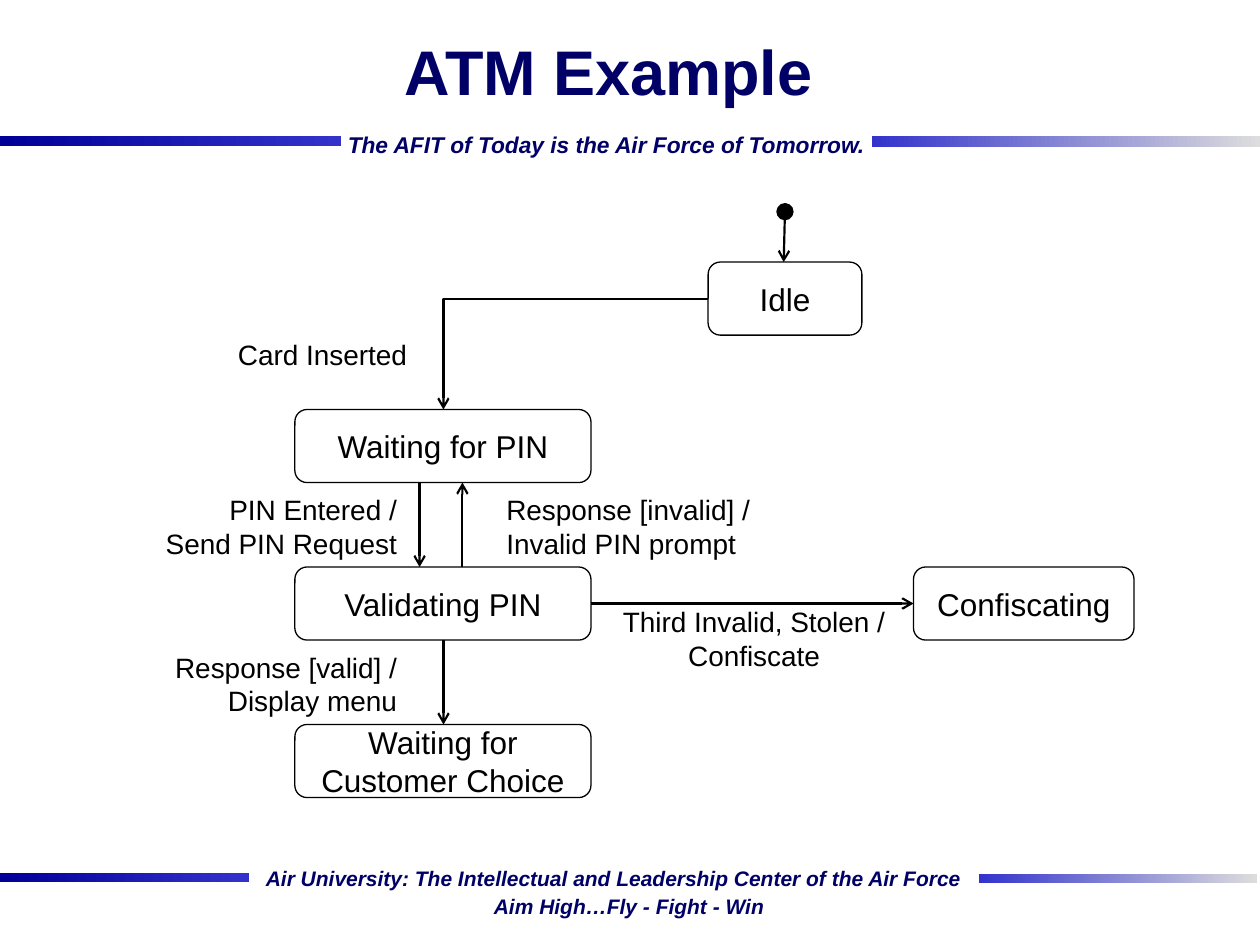
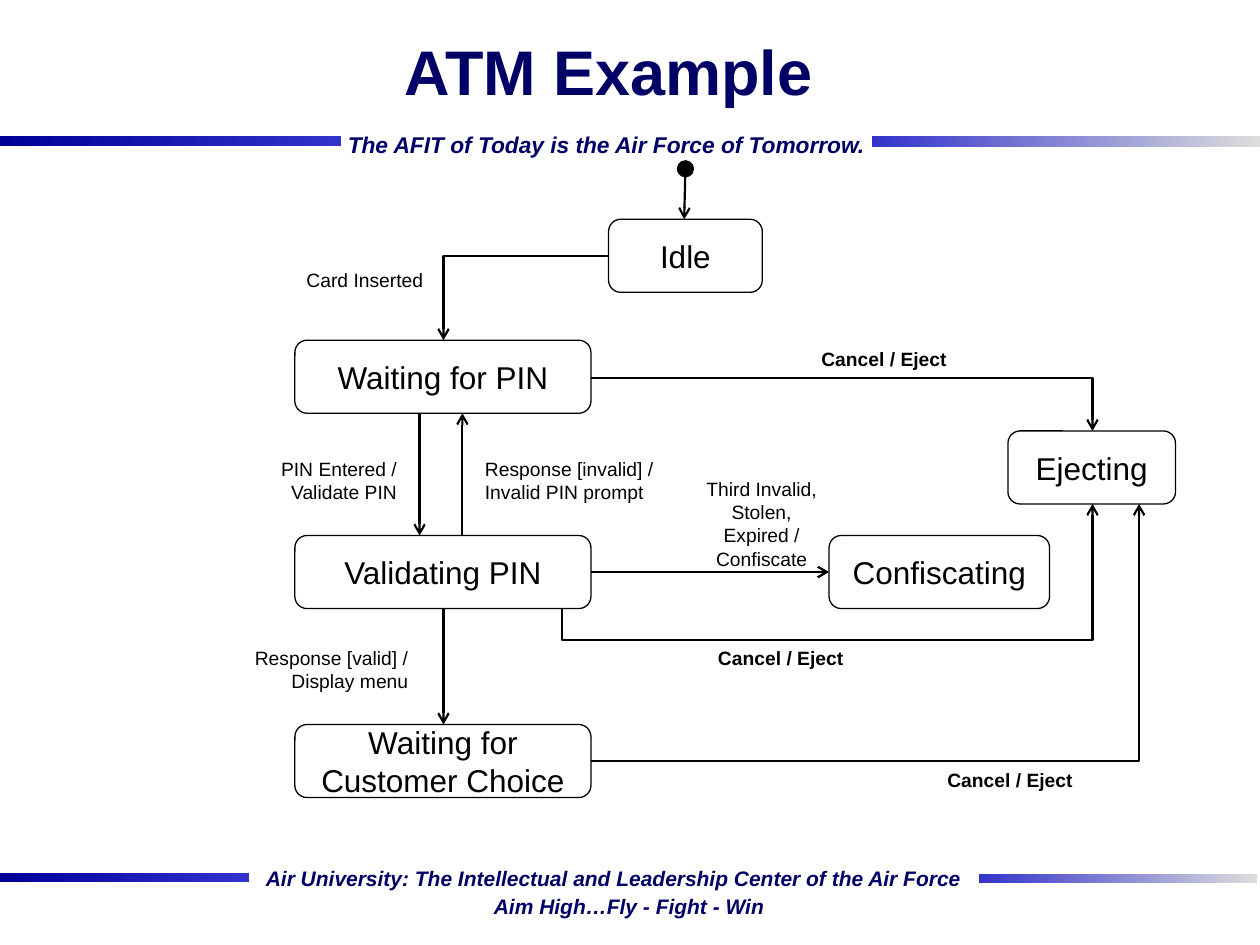
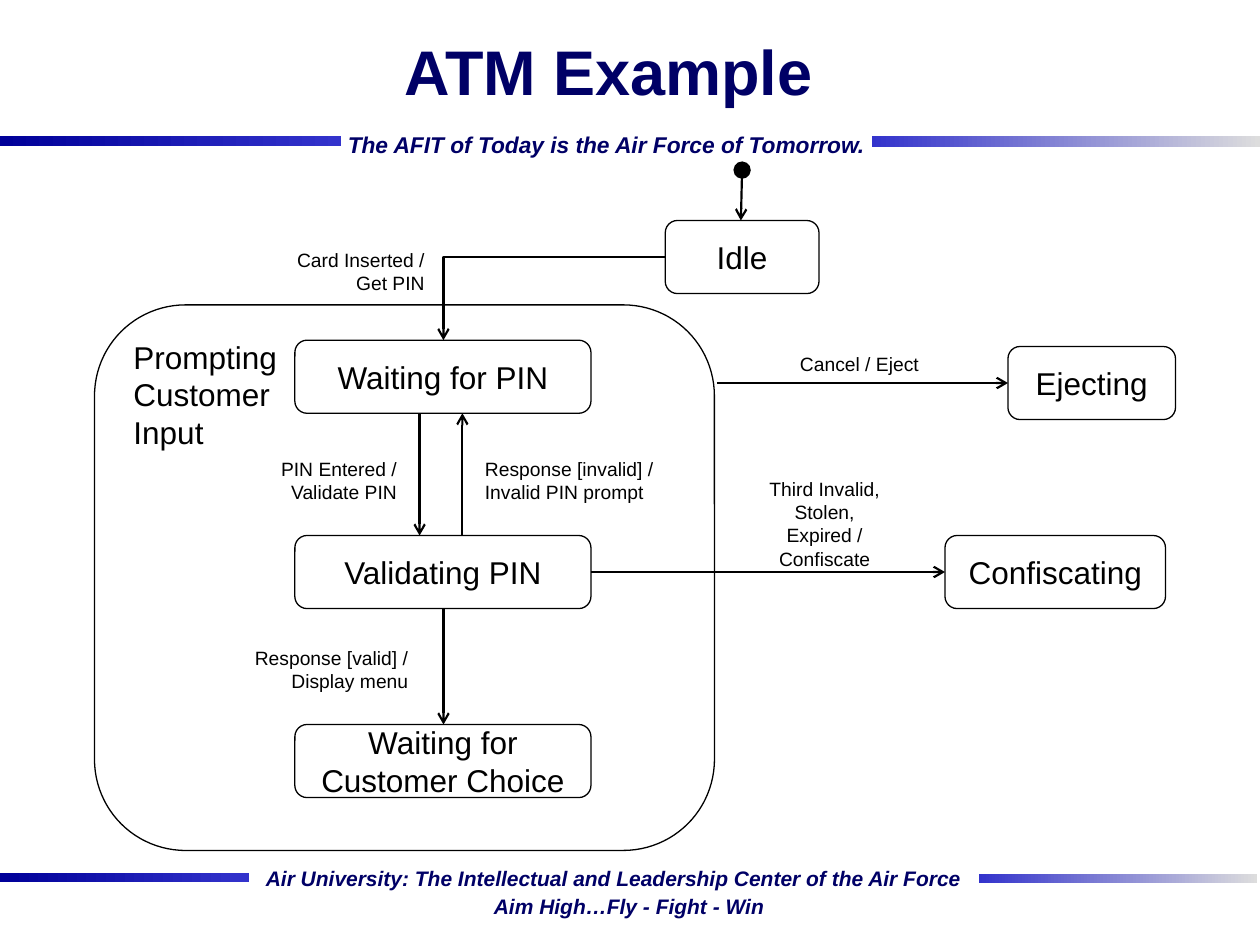
"""Build three slides of a growing ATM state diagram."""
import dataclasses
import lxml.etree
import pptx
import pptx.dml.color
import pptx.enum.shapes
import pptx.enum.text
import pptx.oxml.ns
import pptx.util

Inches = pptx.util.Inches
Pt = pptx.util.Pt
RGB = pptx.dml.color.RGBColor.from_string
qn = pptx.oxml.ns.qn
SHAPE = pptx.enum.shapes.MSO_SHAPE
LINE = pptx.enum.shapes.MSO_CONNECTOR
ANCHOR = pptx.enum.text.MSO_ANCHOR
FIT = pptx.enum.text.MSO_AUTO_SIZE
ALIGN = {"l": pptx.enum.text.PP_ALIGN.LEFT, "c": pptx.enum.text.PP_ALIGN.CENTER,
         "r": pptx.enum.text.PP_ALIGN.RIGHT}


@dataclasses.dataclass(frozen=True)
class Theme:
    font: str = "Arial"
    navy: str = "000066"
    ink: str = "000000"
    band_dark: str = "000099"
    band_mid: str = "3333CC"
    band_light: str = "DDDDDD"
    title: int = 36
    state: int = 18
    motto: int = 13
    footer: int = 12
    label: int = 11
    label_large: int = 16
    outline: float = 0.75
    arrow: float = 1.25


T = Theme()


def write(sp, text, size=T.state, color=T.ink, bold=False, italic=False,
          align="l", anchor=ANCHOR.TOP, wrap=True, fit=FIT.NONE):
    tf = sp.text_frame
    tf.word_wrap = wrap
    tf.auto_size = fit
    tf.vertical_anchor = anchor
    p = tf.paragraphs[0]
    p.text = text
    p.alignment = ALIGN[align]
    for r in p.runs:
        r.font.name = T.font
        r.font.size = Pt(size)
        r.font.bold = bold
        r.font.italic = italic
        r.font.color.rgb = RGB(color)
    for br in sp.element.iter(qn("a:br")):
        lxml.etree.SubElement(br, qn("a:rPr")).set("sz", str(size * 100))


def arrow(s, start, end, preset="line", dot=False):
    kind = LINE.STRAIGHT if preset == "line" else LINE.ELBOW
    c = s.shapes.add_connector(kind, *(Inches(v) for v in (*start, *end)))
    c.line.width = Pt(T.arrow)
    c.line.color.rgb = RGB(T.ink)
    pr = c.element.spPr
    pr.find(qn("a:prstGeom")).set("prst", preset)
    ln = pr.find(qn("a:ln"))
    if dot:
        head = lxml.etree.SubElement(ln, qn("a:headEnd"))
        for key, value in (("type", "oval"), ("w", "lg"), ("len", "lg")):
            head.set(key, value)
    lxml.etree.SubElement(ln, qn("a:tailEnd")).set("type", "arrow")
    lxml.etree.SubElement(pr, qn("a:effectLst"))
    return c


COLUMN_X, COLUMN_W, STATE_H = 2.34, 2.35, 0.58
COLUMN_MID, COLUMN_RIGHT = 3.52, COLUMN_X + COLUMN_W
WIDTHS = {"Idle": 1.22, "Confiscating": 1.75, "Ejecting": 1.33}
BANDS = [
    (0, 6.93, 1.98, 0.07, T.band_dark, T.band_mid),
    (7.77, 6.94, 2.21, 0.07, T.band_mid, T.band_light),
    (0, 1.08, 2.71, 0.08, T.band_dark, T.band_mid),
    (6.92, 1.08, 3.08, 0.09, T.band_mid, T.band_light),
]
MOTTOS = [
    ("The AFIT of Today is the Air Force of Tomorrow.", 2.67, 0.99, 4.35, 0.31, T.motto),
    ("Air University: The Intellectual and Leadership Center of the Air Force",
     2.02, 6.82, 5.76, 0.29, T.footer),
    ("Aim High…Fly - Fight - Win", 3.83, 7.04, 2.36, 0.29, T.footer),
]
PIN_LABELS = [
    ("PIN Entered /\nValidate PIN", 2.12, 3.58, 1.13, "r", False),
    ("Response [valid] /\nDisplay menu", 1.91, 5.08, 1.43, "r", False),
    ("Response [invalid] /\nInvalid PIN prompt", 3.75, 3.58, 1.55, "l", False),
]
CONFISCATE = "Third Invalid,\nStolen,\nExpired /\nConfiscate"
DIAGRAMS = [
    dict(
        size=T.label_large, rows=(3.25, 4.5, 5.75),
        side={"Idle": (5.62, 2.08), "Confiscating": (7.25, 4.5)},
        labels=[
            ("Card Inserted", 1.77, 2.63, 1.56, "r", False),
            ("PIN Entered /\nSend PIN Request", 1.19, 3.86, 2.06, "r", False),
            ("Response [valid] /\nDisplay menu", 1.27, 5.11, 1.98, "r", False),
            ("Third Invalid, Stolen /\nConfiscate", 4.83, 4.75, 2.31, "c", False),
            ("Response [invalid] /\nInvalid PIN prompt", 3.92, 3.86, 2.16, "l", False),
        ],
        arrows=[]),
    dict(
        size=T.label, rows=(2.7, 4.25, 5.75),
        side={"Idle": (4.83, 1.74), "Confiscating": (6.58, 4.25), "Ejecting": (8, 3.42)},
        labels=PIN_LABELS + [
            ("Card Inserted", 2.33, 2.08, 1.13, "r", False),
            (CONFISCATE, 5.5, 3.74, 1.09, "c", False),
            ("Cancel / Eject", 5.6, 5.08, 1.2, "l", True),
            ("Cancel / Eject", 7.42, 6.05, 1.2, "l", True),
            ("Cancel / Eject", 6.42, 2.71, 1.2, "l", True),
        ],
        arrows=[((COLUMN_RIGHT, 3), (8.67, 3.42), "bentConnector2"),
                ((COLUMN_RIGHT, 6.04), (9.04, 4), "bentConnector2")],
        detour=((4.46, 4.83), (8.67, 4))),
    dict(
        size=T.label, rows=(2.7, 4.25, 5.75),
        side={"Idle": (5.28, 1.75), "Confiscating": (7.5, 4.25), "Ejecting": (8, 2.75)},
        labels=PIN_LABELS + [
            ("Card Inserted /\nGet PIN", 2.25, 1.92, 1.22, "r", False),
            (CONFISCATE, 6, 3.74, 1.09, "c", False),
            ("Cancel / Eject", 6.25, 2.75, 1.15, "l", False),
        ],
        arrows=[((5.69, 3.04), (8, 3.04), "line")],
        group=("Prompting\nCustomer\nInput", 0.75, 2.42, 4.92, 4.33)),
]

prs = pptx.Presentation()
prs.slide_width, prs.slide_height = Inches(10), Inches(7.5)
layout = prs.slide_layouts[5]
for ph in list(layout.placeholders)[1:]:
    layout.shapes.element.remove(ph.element)

slides = [prs.slides.add_slide(layout) for d in DIAGRAMS]
shared = []
for x, y, w, h, left, right in BANDS:
    sp = slides[0].shapes.add_shape(SHAPE.RECTANGLE, Inches(x), Inches(y), Inches(w), Inches(h))
    sp.shadow.inherit = False
    sp.line.fill.background()
    sp.fill.gradient()
    sp.fill.gradient_angle = 0
    for stop, color in zip(sp.fill.gradient_stops, (left, right)):
        stop.color.rgb = RGB(color)
    shared.append(sp)
for text, x, y, w, h, size in MOTTOS:
    sp = slides[0].shapes.add_textbox(Inches(x), Inches(y), Inches(w), Inches(h))
    write(sp, text, size=size, color=T.navy, bold=True, italic=True,
          wrap=False, fit=FIT.SHAPE_TO_FIT_TEXT)
    sp.text_frame.margin_left = sp.text_frame.margin_right = Inches(0.09)
    shared.append(sp)
for sp in shared:
    layout.shapes.element.append(sp.element)

for s, d in zip(slides, DIAGRAMS):
    title = s.shapes.title
    title.left, title.top = Inches(0.58), Inches(0)
    title.width, title.height = Inches(8.5), Inches(1.12)
    write(title, "ATM Example", size=T.title, color=T.navy, bold=True,
          align="c", anchor=ANCHOR.MIDDLE)

    waiting, validating, choice = d["rows"]
    boxes = [(name, x, y, WIDTHS[name], STATE_H, "c", ANCHOR.MIDDLE)
             for name, (x, y) in d["side"].items()]
    boxes += [(name, COLUMN_X, y, COLUMN_W, STATE_H, "c", ANCHOR.MIDDLE)
              for name, y in zip(("Waiting for PIN", "Validating PIN",
                                  "Waiting for Customer Choice"), d["rows"])]
    if "group" in d:
        boxes.append((*d["group"], "l", ANCHOR.TOP))
    for text, x, y, w, h, align, anchor in boxes:
        sp = s.shapes.add_shape(SHAPE.ROUNDED_RECTANGLE, Inches(x), Inches(y), Inches(w), Inches(h))
        sp.shadow.inherit = False
        sp.fill.background()
        sp.line.color.rgb = RGB(T.ink)
        sp.line.width = Pt(T.outline)
        write(sp, text, align=align, anchor=anchor)

    idle_x, idle_y = d["side"]["Idle"]
    middle = validating + STATE_H / 2
    arrow(s, (idle_x + 0.61, idle_y - 0.4), (idle_x + 0.6, idle_y), dot=True)
    arrow(s, (idle_x, idle_y + STATE_H / 2), (COLUMN_MID, waiting), "bentConnector2")
    arrow(s, (3.33, waiting + STATE_H), (3.33, validating))
    arrow(s, (3.67, validating), (3.67, waiting + STATE_H))
    arrow(s, (COLUMN_MID, validating + STATE_H), (COLUMN_MID, choice))
    arrow(s, (COLUMN_RIGHT, middle), (d["side"]["Confiscating"][0], middle))
    for start, end, preset in d["arrows"]:
        arrow(s, start, end, preset)
    if "detour" in d:
        (x1, y1), (x2, y2) = d["detour"]
        mid_x, mid_y = (x1 + x2) / 2, (y1 + y2) / 2
        half_w, half_h = (y1 - y2) / 2, (x2 - x1) / 2
        c = arrow(s, (mid_x + half_w, mid_y + half_h), (mid_x - half_w, mid_y - half_h),
                  "bentConnector3")
        c.element.spPr.find(qn("a:xfrm")).set("rot", "5400000")
        gd = lxml.etree.SubElement(next(c.element.iter(qn("a:avLst"))), qn("a:gd"))
        gd.set("name", "adj1")
        gd.set("fmla", "val -30000")

    for text, x, y, w, align, bold in d["labels"]:
        h = 0.1 + d["size"] / 60 * len(text.splitlines())
        sp = s.shapes.add_textbox(Inches(x), Inches(y), Inches(w), Inches(h))
        write(sp, text, size=d["size"], bold=bold, align=align,
              wrap=False, fit=FIT.SHAPE_TO_FIT_TEXT)

prs.save("out.pptx")
